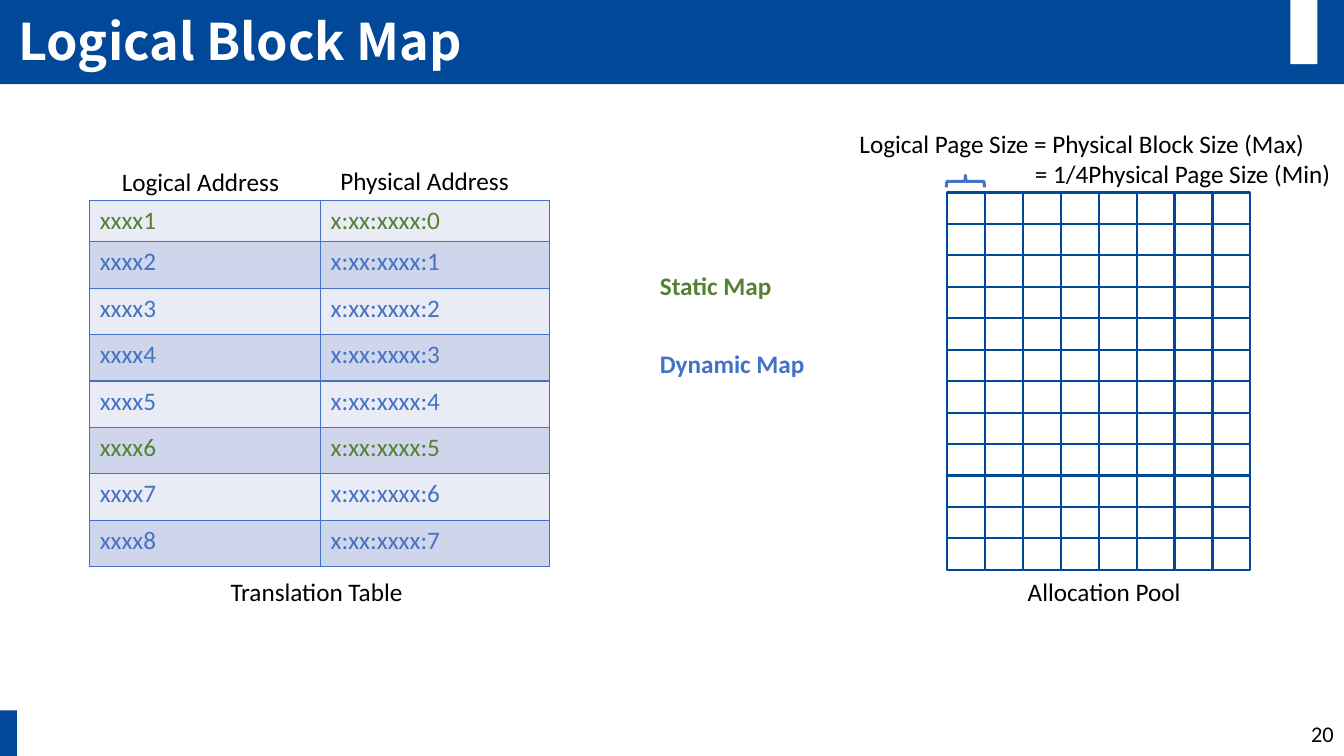
from dataclasses import dataclass

from lxml import etree
from pptx import Presentation
from pptx.dml.color import RGBColor
from pptx.enum.shapes import MSO_SHAPE
from pptx.enum.text import MSO_ANCHOR, MSO_AUTO_SIZE, PP_ALIGN
from pptx.oxml.ns import qn
from pptx.util import Cm, Pt

RECT = MSO_SHAPE.RECTANGLE
BRACE = MSO_SHAPE.RIGHT_BRACE
TOP, MIDDLE, BOTTOM = MSO_ANCHOR.TOP, MSO_ANCHOR.MIDDLE, MSO_ANCHOR.BOTTOM
LEFT, RIGHT = PP_ALIGN.LEFT, PP_ALIGN.RIGHT
FIXED = MSO_AUTO_SIZE.NONE


@dataclass(frozen=True)
class Theme:
    navy: str = "014898"
    blue: str = "4472C4"
    green: str = "548235"
    white: str = "FFFFFF"
    black: str = "000000"
    bands: tuple = ("E9EBF5", "CFD5EA")
    head_font: str = "Noto Sans CJK KR"
    body_font: str = "Calibri"
    head_size: int = 36
    body_size: int = 18
    page_size: int = 16


theme = Theme()

TITLE = "Logical Block Map"
PAGE = "20"
STATIC = {1, 6}
ENTRIES = [(f"xxxx{n}", f"x:xx:xxxx:{n - 1}") for n in range(1, 9)]

BARS = [
    ((0, 0, 33.87, 2.12), theme.navy),
    ((32.52, 0, 0.68, 1.62), theme.white),
    ((-0.02, 17.9, 0.45, 1.16), theme.navy),
]
LABELS = [
    ("Allocation Pool", (25.65, 14.4, 5.03, 1.04), theme.black, False),
    ("Translation Table", (5.56, 14.4, 5.03, 1.02), theme.black, False),
    ("Logical Address", (2.82, 4.06, 4.8, 1.02), theme.black, False),
    ("Physical Address", (8.33, 4.04, 4.8, 1.02), theme.black, False),
    ("Logical Page Size = Physical Block Size (Max)",
     (21.41, 3.1, 12.04, 1.02), theme.black, False),
    ("= 1/4Physical Page Size (Min)", (25.83, 3.86, 8.04, 1.02), theme.black, False),
    ("Static Map", (16.38, 6.68, 5.03, 1.06), theme.green, True),
    ("Dynamic Map", (16.38, 8.66, 5.03, 1.06), theme.blue, True),
]

TITLE_BOX = (0.2, -0.2, 29.21, 2.12)
PAGE_BOX = (26.24, 17.98, 7.62, 1.02)
POOL_BOX = (23.87, 4.85, 7.64, 9.51)
POOL_COLS, POOL_ROWS = 8, 12
BRACE_BOX = (24.18, 4.09, 0.3, 0.96)
TABLE_AT = (2.26, 5.05)
COL_WIDTHS = (5.82, 5.77)
ROW_HEIGHTS = [1.04] + [1.17] * 7


def color(code):
    return RGBColor.from_string(code)


def lengths(box):
    return [Cm(v) for v in box]


def write(frame, text, ink, size=theme.body_size, font=theme.body_font,
          bold=False, align=LEFT):
    para = frame.paragraphs[0]
    para.alignment = align
    run = para.add_run()
    run.text = text
    run.font.name = font
    run.font.size = Pt(size)
    run.font.bold = bold
    run.font.color.rgb = color(ink)
    return para


def add_label(slide, text, box, ink, bold=False, size=theme.body_size,
              align=LEFT, anchor=TOP):
    frame = slide.shapes.add_textbox(*lengths(box)).text_frame
    frame.word_wrap = True
    frame.vertical_anchor = anchor
    if align == LEFT:
        frame.margin_right = 0
    write(frame, text, ink, size=size, bold=bold, align=align)


def add_form(shapes, kind, box, fill=None, line=None, width=1.5):
    form = shapes.add_shape(kind, *lengths(box))
    form.shadow.inherit = False
    if fill:
        form.fill.solid()
        form.fill.fore_color.rgb = color(fill)
    else:
        form.fill.background()
    if line:
        form.line.color.rgb = color(line)
        form.line.width = Pt(width)
    else:
        form.line.fill.background()
    return form


def set_title(slide):
    title = slide.shapes.title
    title.left, title.top, title.width, title.height = lengths(TITLE_BOX)
    frame = title.text_frame
    frame.auto_size = FIXED
    frame.word_wrap = True
    frame.vertical_anchor = BOTTOM
    para = write(frame, TITLE, theme.white, theme.head_size, theme.head_font, True)
    para.line_spacing = 0.9
    title.element.getparent().append(title.element)


def add_pool(slide):
    left, top, width, height = POOL_BOX
    wide, high = width / POOL_COLS, height / POOL_ROWS
    pool = slide.shapes.add_group_shape()
    for row in range(POOL_ROWS):
        for col in range(POOL_COLS):
            box = (left + col * wide, top + row * high, wide, high)
            add_form(pool.shapes, RECT, box, theme.white, theme.navy)


def add_border(cell):
    props = cell._tc.get_or_add_tcPr()
    for side in ("lnL", "lnR", "lnT", "lnB"):
        edge = etree.SubElement(props, qn(f"a:{side}"), w=str(Pt(1)))
        fill = etree.SubElement(edge, qn("a:solidFill"))
        etree.SubElement(fill, qn("a:srgbClr"), val=theme.blue)


def add_map(slide):
    size = (sum(COL_WIDTHS), sum(ROW_HEIGHTS))
    table = slide.shapes.add_table(
        len(ENTRIES), len(COL_WIDTHS), *lengths(TABLE_AT + size)).table
    table.first_row = False
    table.horz_banding = False
    for col, width in zip(table.columns, COL_WIDTHS):
        col.width = Cm(width)
    for num, entry in enumerate(ENTRIES):
        table.rows[num].height = Cm(ROW_HEIGHTS[num])
        ink = theme.green if num + 1 in STATIC else theme.blue
        for col, text in enumerate(entry):
            cell = table.cell(num, col)
            add_border(cell)
            cell.fill.solid()
            cell.fill.fore_color.rgb = color(theme.bands[num % 2])
            write(cell.text_frame, text, ink)


def main():
    deck = Presentation()
    deck.slide_width, deck.slide_height = Cm(33.87), Cm(19.05)
    slide = deck.slides.add_slide(deck.slide_layouts.get_by_name("Title Only"))
    for box, fill in BARS:
        add_form(slide.shapes, RECT, box, fill)
    set_title(slide)
    add_label(slide, PAGE, PAGE_BOX, theme.black, size=theme.page_size,
              align=RIGHT, anchor=MIDDLE)
    add_pool(slide)
    add_map(slide)
    brace = add_form(slide.shapes, BRACE, BRACE_BOX, line=theme.blue, width=2.25)
    brace.rotation = 270
    for label in LABELS:
        add_label(slide, *label)
    deck.save("out.pptx")


if __name__ == "__main__":
    main()
